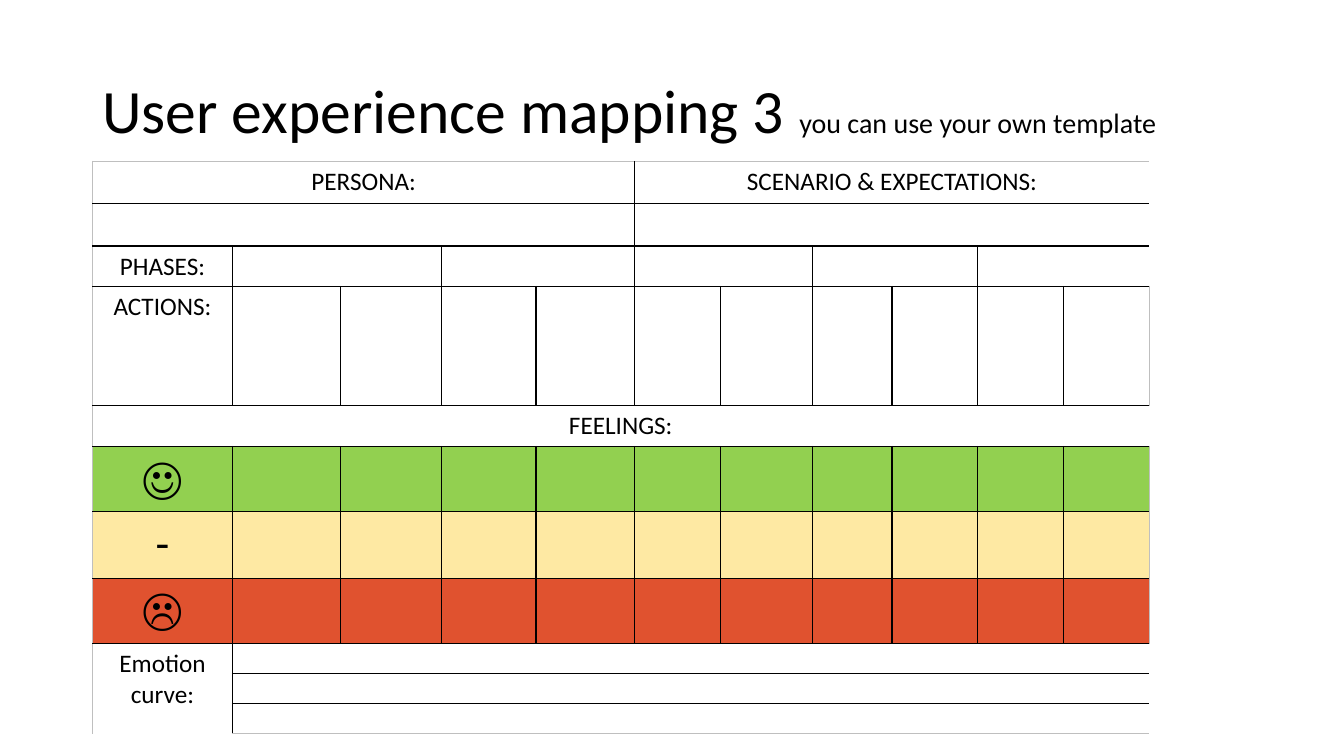
from dataclasses import dataclass
from itertools import product

from lxml.etree import SubElement
from pptx import Presentation
from pptx.dml.color import RGBColor
from pptx.enum.text import MSO_ANCHOR, PP_ALIGN
from pptx.oxml.ns import qn
from pptx.util import Cm, Pt


@dataclass(frozen=True)
class Theme:
    font: str = "Calibri"
    ink: str = "000000"
    frame: str = "BFBFBF"
    happy: str = "92D050"
    neutral: str = "FEE9A3"
    unhappy: str = "E0522F"
    title_size: int = 44
    hint_size: int = 20
    label_size: int = 18
    face_size: int = 32
    empty_size: int = 8


THEME = Theme()
COLUMN_WIDTHS = [3.53, 2.72, 2.54, 2.39, 2.49, 2.16, 2.31, 2.01, 2.16, 2.16, 2.16]
ROW_HEIGHTS = [1.07, 1.07, 1.02, 3, 1.03, 1.64, 1.68, 1.64, 0.76, 0.76, 0.76]
LAST_COLUMN = len(COLUMN_WIDTHS) - 1
LAST_ROW = len(ROW_HEIGHTS) - 1

# Merged areas: top row, left column, bottom row, right column
MERGED_AREAS = (
    [(row, left, row, right) for row in (0, 1) for left, right in ((0, 4), (5, LAST_COLUMN))]
    + [(2, left, 2, left + 1) for left in range(1, LAST_COLUMN, 2)]
    + [(4, 0, 4, LAST_COLUMN), (8, 0, LAST_ROW, 0)]
    + [(row, 1, row, LAST_COLUMN) for row in range(8, LAST_ROW + 1)]
)
LABELS = {
    (0, 0): "PERSONA:",
    (0, 5): "SCENARIO & EXPECTATIONS:",
    (2, 0): "PHASES:",
    (3, 0): "ACTIONS:",
    (4, 0): "FEELINGS:",
    (5, 0): "☺",
    (6, 0): "-",
    (7, 0): "☹",
    (8, 0): "Emotion curve:",
}
FEELING_FILLS = {5: THEME.happy, 6: THEME.neutral, 7: THEME.unhappy}


def style_span(span, size):
    span.font.name = THEME.font
    span.font.size = Pt(size)
    span.font.color.rgb = RGBColor.from_string(THEME.ink)


def add_title(page, title, hint):
    box = page.shapes.add_textbox(Cm(2.33), Cm(1.01), Cm(29.21), Cm(3.68))
    frame = box.text_frame
    frame.word_wrap = True
    frame.vertical_anchor = MSO_ANCHOR.MIDDLE
    para = frame.paragraphs[0]
    para.line_spacing = 0.9
    for text, size in ((title, THEME.title_size), (hint, THEME.hint_size)):
        span = para.add_run()
        span.text = text
        style_span(span, size)


def add_border(cell, side, color, width):
    properties = cell._tc.get_or_add_tcPr()
    line = SubElement(properties, qn(f"a:ln{side}"), w=str(Pt(width)))
    if color is None:
        SubElement(line, qn("a:noFill"))
    else:
        fill = SubElement(line, qn("a:solidFill"))
        SubElement(fill, qn("a:srgbClr"), val=color)


def draw_borders(cell, row, column, area):
    """Black lines inside the table, grey at its rim, none inside a merged area."""
    top, left, bottom, right = area
    edges = (
        ("L", column == left, column == 0),
        ("R", column == right, column == LAST_COLUMN),
        ("T", row == top, row == 0),
        ("B", row == bottom, row == LAST_ROW),
    )
    for side, on_boundary, on_rim in edges:
        color = (THEME.frame if on_rim else THEME.ink) if on_boundary else None
        add_border(cell, side, color, 0.5 if on_rim else 1)


def fill_cell(cell, color):
    if color:
        cell.fill.solid()
        cell.fill.fore_color.rgb = RGBColor.from_string(color)
    else:
        cell.fill.background()


def write_cell(cell, text, size):
    para = cell.text_frame.paragraphs[0]
    if text:
        para.text = text
        para.alignment = PP_ALIGN.CENTER
        style_span(para.runs[0], size)
    else:
        # A small end mark keeps empty rows from growing
        SubElement(para._p, qn("a:endParaRPr"), sz=str(THEME.empty_size * 100))


def find_area(row, column):
    for area in MERGED_AREAS:
        top, left, bottom, right = area
        if top <= row <= bottom and left <= column <= right:
            return area
    return row, column, row, column


def add_map_table(page):
    shape = page.shapes.add_table(
        len(ROW_HEIGHTS), len(COLUMN_WIDTHS), Cm(2.33), Cm(4.06),
        Cm(sum(COLUMN_WIDTHS)), Cm(sum(ROW_HEIGHTS)))
    table = shape.table
    table.first_row = table.horz_banding = False
    for column, width in zip(table.columns, COLUMN_WIDTHS):
        column.width = Cm(width)
    for row, height in zip(table.rows, ROW_HEIGHTS):
        row.height = Cm(height)

    # Merging
    for top, left, bottom, right in MERGED_AREAS:
        table.cell(top, left).merge(table.cell(bottom, right))

    # Text, lines and fills
    for row, column in product(range(LAST_ROW + 1), range(LAST_COLUMN + 1)):
        cell = table.cell(row, column)
        size = THEME.face_size if row in FEELING_FILLS else THEME.label_size
        write_cell(cell, LABELS.get((row, column)), size)
        draw_borders(cell, row, column, find_area(row, column))
        fill_cell(cell, FEELING_FILLS.get(row))


def main():
    deck = Presentation()
    deck.slide_width, deck.slide_height = Cm(33.87), Cm(19.05)
    page = deck.slides.add_slide(deck.slide_layouts[6])
    add_title(page, "User experience mapping 3 ", "you can use your own template")
    add_map_table(page)
    deck.save("out.pptx")


if __name__ == "__main__":
    main()
